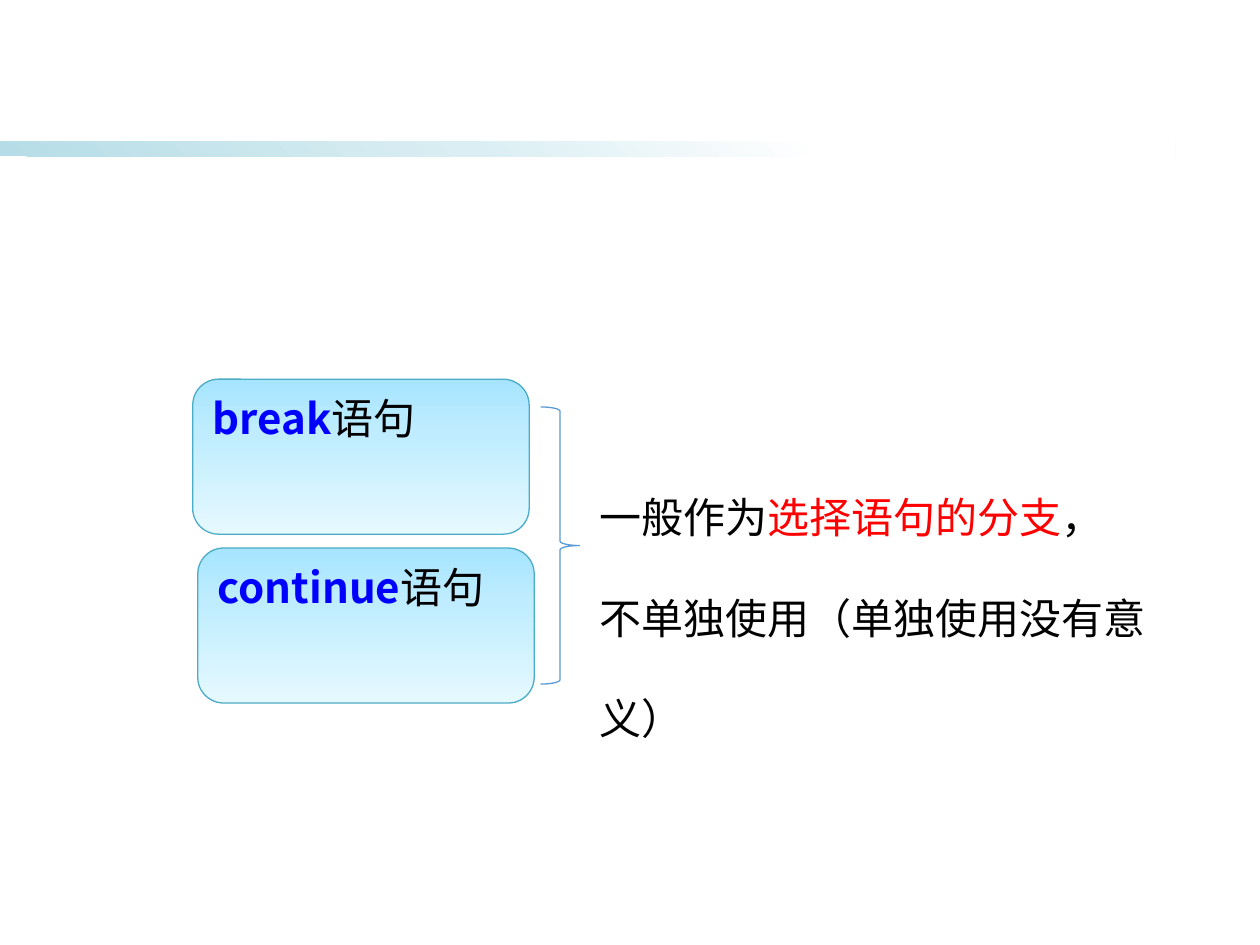
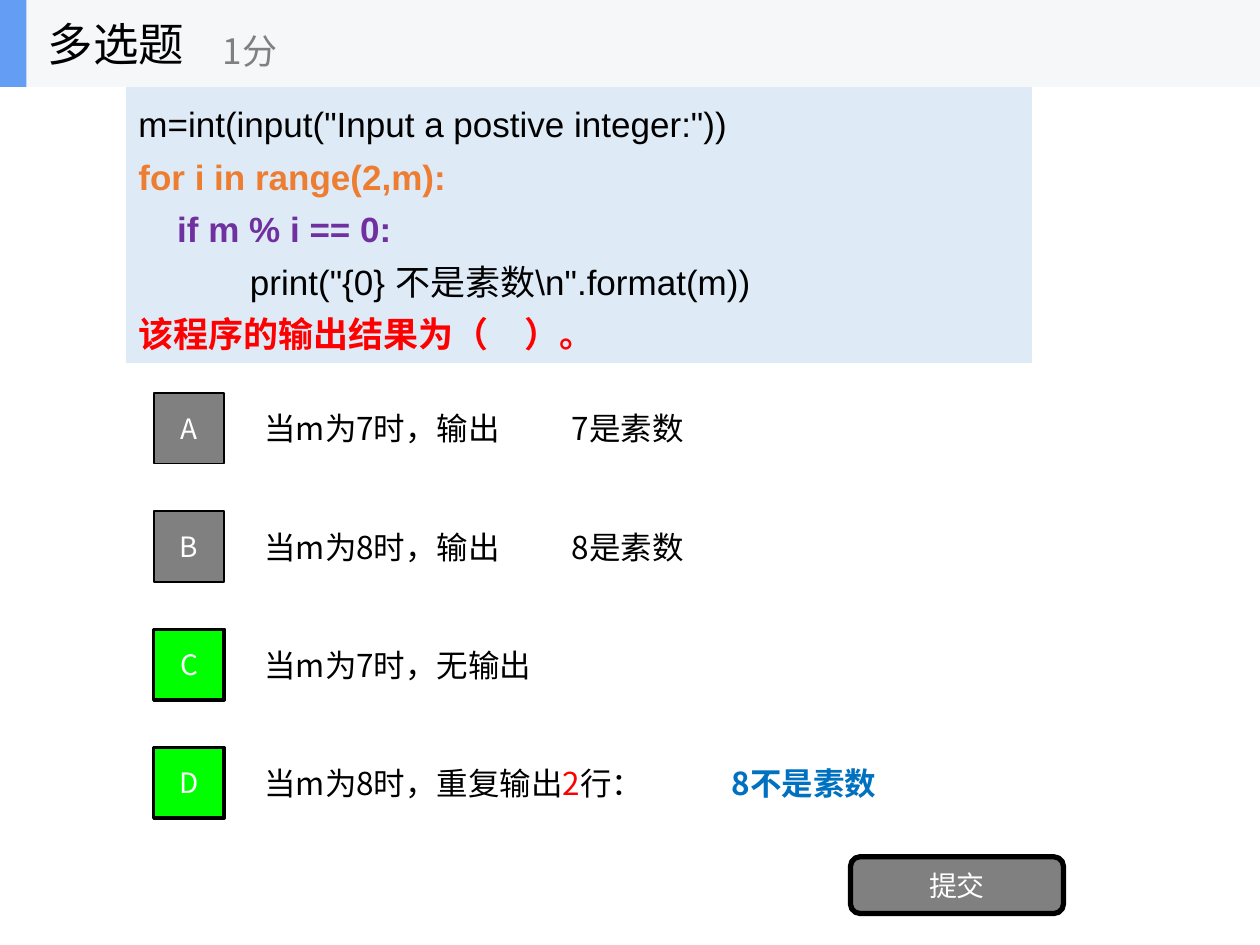
from typing import NamedTuple

from lxml.etree import SubElement
from pptx import Presentation
from pptx.dml.color import RGBColor as Rgb
from pptx.enum.shapes import MSO_SHAPE as Shape
from pptx.enum.text import MSO_ANCHOR as Anchor, PP_ALIGN as Align
from pptx.oxml.ns import qn
from pptx.util import Inches, Pt

# Grid: 100 columns by 75 rows
CELL = Inches(0.1)
COLUMNS, ROWS = 100, 75

SANS, CODE, BODY = "Noto Sans CJK SC", "Arial", "Calibri"

BLACK = Rgb(0x00, 0x00, 0x00)
WHITE = Rgb(0xFF, 0xFF, 0xFF)
RED = Rgb(0xFF, 0x00, 0x00)
GREY = Rgb(0x80, 0x80, 0x80)
GREEN = Rgb(0x00, 0xFF, 0x00)
KEYWORD_BLUE = Rgb(0x00, 0x00, 0xFF)
ANSWER_BLUE = Rgb(0x00, 0x70, 0xC0)
ORANGE = Rgb(0xED, 0x7D, 0x31)
PURPLE = Rgb(0x70, 0x30, 0xA0)
CODE_PANEL = Rgb(0xDE, 0xEB, 0xF7)
HEADER_GREY = Rgb(0xF6, 0xF7, 0xF8)
HEADER_BLUE = Rgb(0x63, 0x9E, 0xF4)
CARD_EDGE = Rgb(0x4B, 0xAC, 0xC6)
BRACE_BLUE = Rgb(0x5B, 0x9B, 0xD5)
BAND_STOPS = [(0, Rgb(0xB6, 0xDD, 0xE7)), (40, Rgb(0xDA, 0xEE, 0xF3)),
              (70, WHITE), (100, WHITE)]
CARD_STOPS = [(0, Rgb(0xA6, 0xE4, 0xFF)), (35, Rgb(0xBF, 0xED, 0xFF)),
              (100, Rgb(0xE6, 0xF9, 0xFF))]


class Box(NamedTuple):
    """A region in grid columns and rows."""
    left: float
    top: float
    width: float
    height: float

    def area(self, column, row, width, height):
        return Box(self.left + column, self.top + row, width, height)

    def lengths(self):
        return [round(cells * CELL) for cells in self]


class Span(NamedTuple):
    text: str
    color: Rgb = BLACK
    bold: bool = False


def add_shape(slide, kind, box, fill=None, line=None, line_width=0.75):
    shape = slide.shapes.add_shape(kind, *box.lengths())
    shape.shadow.inherit = False
    if fill is None:
        shape.fill.background()
    else:
        shape.fill.solid()
        shape.fill.fore_color.rgb = fill
    if line is None:
        shape.line.fill.background()
    else:
        shape.line.color.rgb = line
        shape.line.width = Pt(line_width)
    return shape


def add_gradient(shape, stops, angle):
    shape.fill.gradient()
    shape.fill.gradient_angle = (360 - angle) % 360
    stop_list = shape.element.spPr.find(".//" + qn("a:gsLst"))
    stop_list.clear()
    for share, color in stops:
        stop = SubElement(stop_list, qn("a:gs"), pos=str(share * 1000))
        SubElement(stop, qn("a:srgbClr"), val=str(color))


def write(shape, paragraphs, size, font=SANS, anchor=Anchor.MIDDLE,
          align=Align.LEFT, spacing=None, tab=None):
    """Fill a shape with paragraphs, each a list of spans."""
    frame = shape.text_frame
    frame.word_wrap = True
    frame.vertical_anchor = anchor
    for number, spans in enumerate(paragraphs):
        paragraph = frame.add_paragraph() if number else frame.paragraphs[0]
        if tab:
            tabs = SubElement(paragraph._p.get_or_add_pPr(), qn("a:tabLst"))
            SubElement(tabs, qn("a:tab"), pos=str(round(tab * CELL)), algn="l")
        paragraph.alignment = align
        if spacing:
            paragraph.line_spacing = spacing
        paragraph.font.size = Pt(size)
        paragraph.font.name = font
        SubElement(paragraph.font._element, qn("a:ea"), typeface=SANS)
        for span in spans:
            run = paragraph.add_run()
            run.text = span.text
            run.font.color.rgb = span.color
            run.font.bold = span.bold


def add_text(slide, box, paragraphs, size, **style):
    write(slide.shapes.add_textbox(*box.lengths()), paragraphs, size, **style)


# Statement slide

def title_band(slide, box):
    band = add_shape(slide, Shape.RECTANGLE, box)
    add_gradient(band, BAND_STOPS, 315)


def statement_card(slide, box, keyword):
    card = add_shape(slide, Shape.ROUNDED_RECTANGLE, box, line=CARD_EDGE)
    add_gradient(card, CARD_STOPS, 90)
    write(card, [[Span(keyword, KEYWORD_BLUE, True), Span("语句")]], 24,
          anchor=Anchor.TOP)


def statement_usage(slide, box):
    # Cards for the two statements
    for number, keyword in enumerate(["break", "continue"]):
        card = box.area(0.4 * number, 13.4 * number, 26.7, 12.3)
        statement_card(slide, card, keyword)
    # Shared remark
    remark = [[Span("一般作为"), Span("选择语句的分支", RED), Span("，")],
              [Span("不单独使用（单独使用没有意义）")]]
    add_text(slide, box.area(31.3, 4.4, 49.6, 17.2), remark, 24, font=BODY,
             anchor=Anchor.TOP, spacing=2.0)
    # Brace joining both cards
    brace = add_shape(slide, Shape.RIGHT_BRACE, box.area(27.6, 2.2, 3.1, 22),
                      line=BRACE_BLUE)
    brace.adjustments[0] = 0.11


def statement_slide(slide):
    title_band(slide, Box(0, 11.2, 93.3, 1.2))
    statement_usage(slide, Box(15.3, 30.1, 80.9, 25.7))


# Question slide

def question_header(slide, box, title, points):
    add_shape(slide, Shape.RECTANGLE, box, HEADER_GREY)
    add_shape(slide, Shape.RECTANGLE, box.area(0, 0, 2.1, box.height),
              HEADER_BLUE)
    add_text(slide, box.area(2.8, 0, 20.8, box.height), [[Span(title)]], 26)
    add_text(slide, box.area(16.7, 1.2, 25, 5.6), [[Span(points, GREY)]], 20)


def question_code(slide, box):
    panel = add_shape(slide, Shape.RECTANGLE, box, CODE_PANEL)
    lines = [
        Span('m=int(input("Input a postive integer:"))'),
        Span("for i in range(2,m):", ORANGE, True),
        Span("    if m % i == 0:", PURPLE, True),
        Span('\t     print("{0} 不是素数\\n".format(m))'),
        Span("该程序的输出结果为（　）。", RED, True),
    ]
    write(panel, [[line] for line in lines], 20, font=CODE, spacing=Pt(30),
          tab=5)


def answer_options(slide, box):
    # Letter, correctness, tab column, wording
    options = [
        ("A", False, 24.4, [Span("当m为7时，输出\t7是素数")]),
        ("B", False, 24.4, [Span("当m为8时，输出\t8是素数")]),
        ("C", True, None, [Span("当m为7时，无输出")]),
        ("D", True, 37.1, [Span("当m为8时，重复输出"), Span("2", RED),
                           Span("行：\t"),
                           Span("8不是素数", ANSWER_BLUE, True)]),
    ]
    pitch = box.height / len(options)
    for number, (letter, correct, tab, wording) in enumerate(options):
        row = box.area(0, number * pitch, box.width, pitch)
        add_text(slide, row.area(7.8, 0, 70, 7), [wording], 18, tab=tab)
        key = add_shape(slide, Shape.RECTANGLE, row.area(0, 0.7, 5.6, 5.6),
                        GREEN if correct else GREY, BLACK, 2 if correct else 1)
        write(key, [[Span(letter, WHITE)]], 16, align=Align.CENTER)


def submit_button(slide, box):
    button = add_shape(slide, Shape.ROUNDED_RECTANGLE, box, GREY, BLACK, 3)
    write(button, [[Span("提交", WHITE)]], 16, align=Align.CENTER)


def question_slide(slide):
    question_code(slide, Box(10, 6.7, 71.9, 22.1))
    answer_options(slide, Box(12.2, 30.5, 77.8, 37.5))
    submit_button(slide, Box(67.5, 68, 16.9, 4.5))
    question_header(slide, Box(0, 0, COLUMNS, 6.9), "多选题", "1分")


def main():
    deck = Presentation()
    deck.slide_width, deck.slide_height = COLUMNS * CELL, ROWS * CELL
    blank = deck.slide_layouts[6]
    for build in (statement_slide, question_slide):
        build(deck.slides.add_slide(blank))
    deck.save("out.pptx")


if __name__ == "__main__":
    main()
